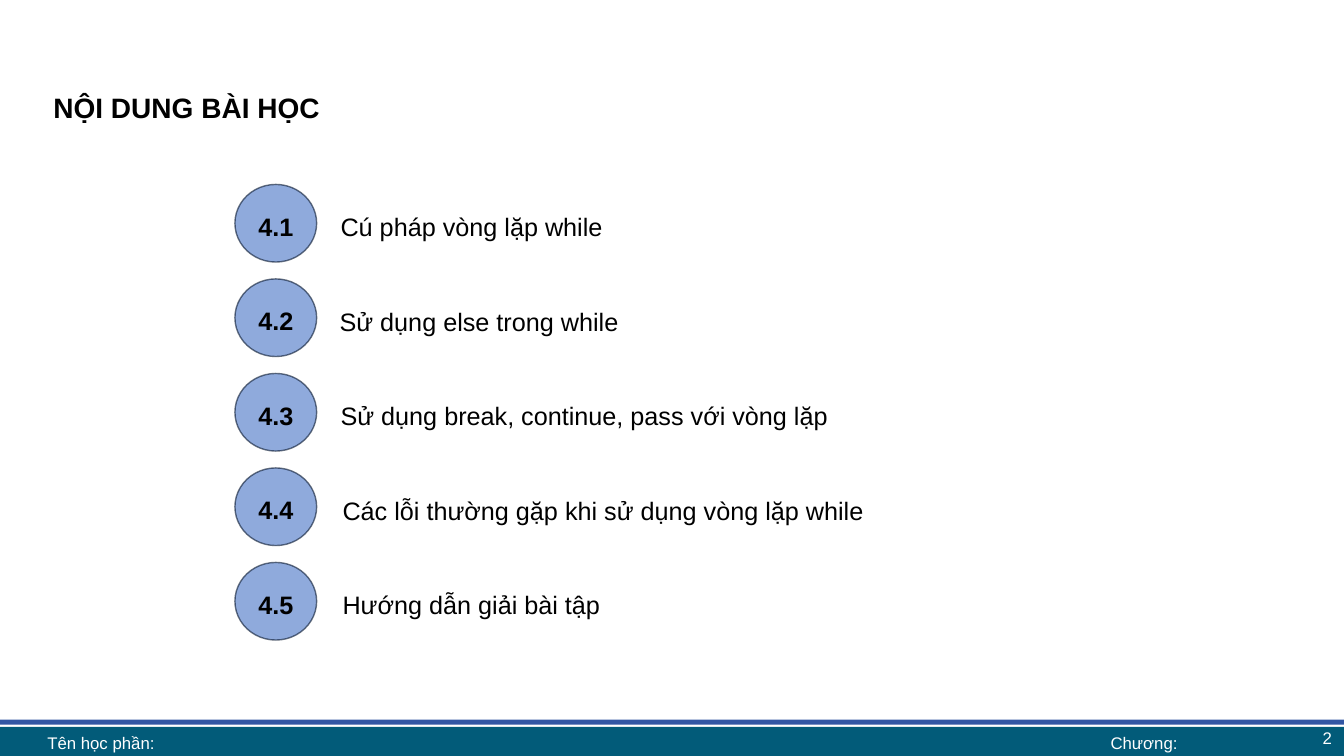
from lxml import etree
from pptx import Presentation
from pptx.dml.color import RGBColor
from pptx.enum.shapes import MSO_SHAPE
from pptx.enum.text import MSO_ANCHOR, MSO_AUTO_SIZE, PP_ALIGN
from pptx.oxml.ns import qn
from pptx.util import Inches, Pt

RECTANGLE, OVAL = MSO_SHAPE.RECTANGLE, MSO_SHAPE.OVAL
TOP, MIDDLE = MSO_ANCHOR.TOP, MSO_ANCHOR.MIDDLE
LEFT, CENTER, RIGHT, JUSTIFY = PP_ALIGN.LEFT, PP_ALIGN.CENTER, PP_ALIGN.RIGHT, PP_ALIGN.JUSTIFY
FIT_SHAPE = MSO_AUTO_SIZE.SHAPE_TO_FIT_TEXT

COLORS = {
    "ink": "000000",
    "white": "FFFFFF",
    "footer": "025B79",
    "stripe": "3256A4",
    "badge": "8FAADC",
    "outline": "08172E",
}

# Each topic: text, left and width in percent of the page width
TOPICS = [
    ("Cú pháp vòng lặp while", 24.6, 56.8),
    ("Sử dụng else trong while", 24.53, 57.15),
    ("Sử dụng break, continue, pass với vòng lặp", 24.6, 37.95),
    ("Các lỗi thường gặp khi sử dụng vòng lặp while", 24.75, 46.5),
    ("Hướng dẫn giải bài tập", 24.75, 46.5),
]
FIRST_ROW, ROW_STEP = 24.4, 12.5


class LessonPage:
    """Places elements by percent of the page's width and height."""

    font = "Arial"

    def __init__(self, deck):
        self.deck = deck
        self.page = deck.slides.add_slide(deck.slide_layouts[6])

    def area(self, left, top, width, height):
        across, down = self.deck.slide_width / 100, self.deck.slide_height / 100
        return [int(left * across), int(top * down), int(width * across), int(height * down)]

    def set_text(self, shape, text, size, color="ink", bold=False, align=LEFT,
                 anchor=TOP, spacing=None, before=None):
        frame = shape.text_frame
        frame.text = text
        frame.word_wrap = True
        frame.vertical_anchor = anchor
        para = frame.paragraphs[0]
        para.alignment = align
        para.line_spacing = spacing
        para.space_before = before
        font = para.runs[0].font
        font.name, font.size, font.bold = self.font, Pt(size), bold
        font.color.rgb = RGBColor.from_string(COLORS[color])
        return frame

    def label(self, place, text, size, **style):
        box = self.page.shapes.add_textbox(*self.area(*place))
        return self.set_text(box, text, size, **style)

    def footer_label(self, place, text, align):
        frame = self.label(place, text, 12, color="white", align=align, anchor=MIDDLE)
        frame.margin_top = frame.margin_bottom = 0

    def filled(self, kind, place, color):
        shape = self.page.shapes.add_shape(kind, *self.area(*place))
        shape.shadow.inherit = False
        shape.fill.solid()
        shape.fill.fore_color.rgb = RGBColor.from_string(COLORS[color])
        shape.line.fill.background()
        return shape

    def badge(self, place, text):
        shape = self.filled(OVAL, place, "badge")
        shape.line.width = Pt(1)
        shape.line.color.rgb = RGBColor.from_string(COLORS["outline"])
        # Line opacity of 60 percent
        line_color = shape.element.spPr.find(qn("a:ln")).find(".//" + qn("a:srgbClr"))
        etree.SubElement(line_color, qn("a:alpha")).set("val", "60000")
        self.set_text(shape, text, 18, bold=True, align=CENTER, anchor=MIDDLE,
                      spacing=1.2, before=Pt(5))


def main():
    deck = Presentation()
    deck.slide_width, deck.slide_height = Inches(13.33), Inches(7.5)
    lesson = LessonPage(deck)

    # Footer bands
    lesson.filled(RECTANGLE, (0, 96.13, 100, 4.13), "footer")
    lesson.filled(RECTANGLE, (-0.08, 95.2, 100.2, 0.67), "stripe")

    # Title
    lesson.label((3.23, 10.4, 93.55, 11.6), "NỘI DUNG BÀI HỌC", 20, bold=True,
                 align=JUSTIFY, spacing=1.2, before=Pt(5))

    # Numbered topics
    for index, (topic, left, width) in enumerate(TOPICS):
        top = FIRST_ROW + index * ROW_STEP
        lesson.badge((17.48, top, 6.08, 10.27), f"4.{index + 1}")
        frame = lesson.label((left, top + 2.27, width, 5.6), topic, 18,
                             align=JUSTIFY, spacing=Pt(25), before=Pt(5))
        frame.auto_size = FIT_SHAPE

    # Footer text and page number
    lesson.footer_label((2.78, 96.13, 76.8, 4.13), "Tên học phần:", LEFT)
    lesson.footer_label((79.5, 96.13, 11.25, 4.13), "Chương:", CENTER)
    lesson.label((77.35, 95.2, 22.5, 4.67), "2", 12, color="white", align=RIGHT, anchor=MIDDLE)

    deck.save("out.pptx")


if __name__ == "__main__":
    main()
